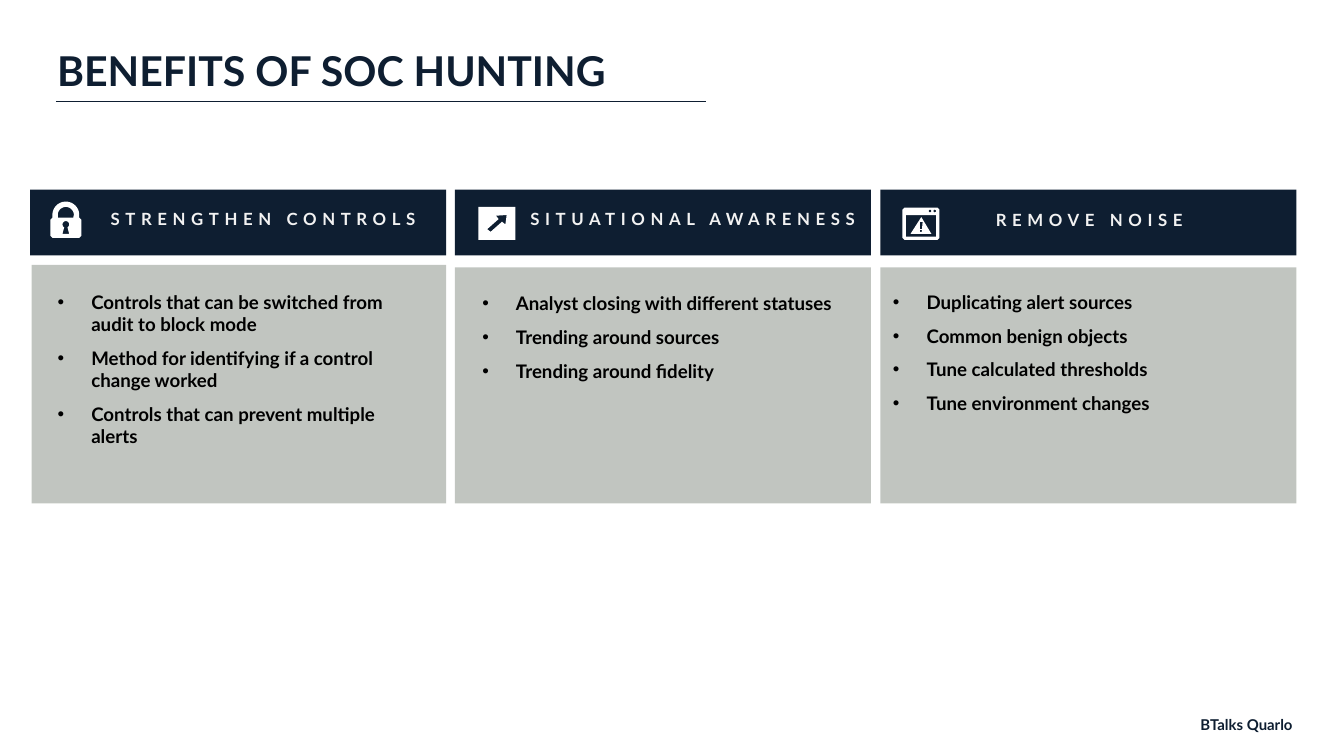
from math import cos, radians, sin

from lxml.etree import SubElement
from pptx import Presentation
from pptx.dml.color import RGBColor
from pptx.enum.shapes import MSO_CONNECTOR, MSO_SHAPE
from pptx.enum.text import MSO_ANCHOR, MSO_AUTO_SIZE, PP_ALIGN
from pptx.oxml.ns import qn
from pptx.util import Inches, Pt

NAVY = RGBColor(0x0E, 0x1E, 0x31)
SAGE = RGBColor(0x4F, 0x5B, 0x4B)
PALE = RGBColor(0xF2, 0xF2, 0xF2)
WHITE = RGBColor(0xFF, 0xFF, 0xFF)
BLACK = RGBColor(0, 0, 0)


def write(para, text, size, color):
    span = para.add_run()
    span.text = text
    span.font.name = "Lato"
    span.font.size = Pt(size)
    span.font.bold = True
    span.font.color.rgb = color
    return span


def arc(x, y, radius, start=0, end=360):
    """Points along a circle, in degrees clockwise from the right."""
    angles = [radians(start + (end - start) * i / 24) for i in range(25)]
    return [(x + radius * cos(a), y + radius * sin(a)) for a in angles]


# Each icon is a list of contours; inner contours are cut out.
LOCK = [
    [(0.75, 3.27), (0.78, 3.24), *arc(0.98, 3.2, 0.2, 180, 360), (1.18, 3.24),
     (1.21, 3.27), (1.21, 3.51), (1.18, 3.54), (0.78, 3.54), (0.75, 3.51)],
    [(0.86, 3.24), *arc(0.98, 3.2, 0.12, 180, 360), (1.09, 3.24)],
    [(0.93, 3.48), *arc(0.98, 3.34, 0.05, 120, 420), (1.03, 3.48)],
]
ARROW = [
    [(7.12, 3.08), (7.67, 3.08), (7.67, 3.57), (7.12, 3.57)],
    [(7.54, 3.2), (7.52, 3.34), (7.47, 3.3), (7.3, 3.45), (7.25, 3.41),
     (7.42, 3.26), (7.38, 3.21)],
]
ALERT = [
    [(13.43, 3.12), (13.46, 3.09), (13.95, 3.09), (13.98, 3.12),
     (13.98, 3.54), (13.95, 3.57), (13.46, 3.57), (13.43, 3.54)],
    arc(13.84, 3.14, 0.02),
    arc(13.91, 3.14, 0.02),
    [(13.48, 3.2), (13.93, 3.2), (13.93, 3.52), (13.48, 3.52)],
    [(13.71, 3.23), (13.86, 3.48), (13.55, 3.48)],
    [(13.69, 3.3), (13.73, 3.3), (13.72, 3.41), (13.69, 3.41)],
    [(13.69, 3.42), (13.72, 3.42), (13.72, 3.45), (13.69, 3.45)],
]

# Heading, its box, icon, panel left/top/width, bullet box, bullets
COLUMNS = [
    ("STRENGTHEN CONTROLS", 0.45, (1.49, 3.05, 4.85), LOCK,
     (0.47, 3.94, 6.17), (0.76, 4.28, 5.61, 2.46),
     ["Controls that can be switched from audit to block mode",
      "Method for identifying if a control change worked",
      "Controls that can prevent multiple alerts"]),
    ("SITUATIONAL AWARENESS", 6.77, (7.39, 3.05, 5.84), ARROW,
     (6.77, 3.98, 6.19), (7.08, 4.3, 5.53, 1.45),
     ["Analyst closing with different statuses",
      "Trending around sources",
      "Trending around fidelity"]),
    ("REMOVE NOISE", 13.1, (14.47, 3.07, 3.48), ALERT,
     (13.1, 3.98, 6.19), (13.19, 4.28, 4.91, 1.95),
     ["Duplicating alert sources",
      "Common benign objects",
      "Tune calculated thresholds",
      "Tune environment changes"]),
]
PANEL_BOTTOM = 7.49

deck = Presentation()
deck.slide_width = Inches(20)
deck.slide_height = Inches(11.25)
page = deck.slides.add_slide(deck.slide_layouts[5])
shapes = page.shapes

title = shapes.title
title.left, title.top = Inches(0.75), Inches(0.63)
title.width, title.height = Inches(18.25), Inches(0.84)
title.text_frame.auto_size = MSO_AUTO_SIZE.NONE
title.text_frame.vertical_anchor = MSO_ANCHOR.TOP
para = title.text_frame.paragraphs[0]
para.alignment = PP_ALIGN.LEFT
write(para, "BENEFITS OF SOC HUNTING", 44, NAVY)

rule = shapes.add_connector(MSO_CONNECTOR.STRAIGHT, Inches(0.83), Inches(1.51),
                            Inches(10.5), Inches(1.51))
rule.line.color.rgb = NAVY
rule.line.width = Pt(0.75)
SubElement(rule._element.spPr, qn("a:effectLst"))

for heading, left, heading_at, icon, panel_at, list_at, bullets in COLUMNS:
    x, y, width = panel_at
    bars = [(left, 2.82, 6.19, 0.98, NAVY),
            (x, y, width, PANEL_BOTTOM - y, SAGE)]
    for *place, color in bars:
        bar = shapes.add_shape(MSO_SHAPE.RECTANGLE, *map(Inches, place))
        bar.shadow.inherit = False
        bar.fill.solid()
        bar.fill.fore_color.rgb = color
        bar.line.fill.background()
        if color == SAGE:
            tint = bar._element.spPr.find(".//" + qn("a:srgbClr"))
            SubElement(tint, qn("a:alpha"), val="35000")

    box = shapes.add_textbox(*map(Inches, heading_at), Inches(0.4))
    box.text_frame.word_wrap = False
    para = box.text_frame.paragraphs[0]
    para.alignment = PP_ALIGN.CENTER
    span = write(para, heading, 18, PALE)
    span.font._element.set("spc", "600")

    # Contours are drawn in thousandths of an inch.
    contours = [[(px * 1000, py * 1000) for px, py in c] for c in icon]
    builder = shapes.build_freeform(*contours[0][0], scale=Inches(1) / 1000)
    builder.add_line_segments(contours[0][1:])
    for contour in contours[1:]:
        builder.move_to(*contour[0])
        builder.add_line_segments(contour[1:])
    symbol = builder.convert_to_shape()
    symbol.shadow.inherit = False
    symbol.fill.solid()
    symbol.fill.fore_color.rgb = WHITE
    symbol.line.fill.background()

    box = shapes.add_textbox(*map(Inches, list_at))
    frame = box.text_frame
    frame.word_wrap = True
    for i, bullet in enumerate(bullets):
        para = frame.add_paragraph() if i else frame.paragraphs[0]
        para.space_before = Pt(12)
        props = para._p.get_or_add_pPr()
        props.set("marL", str(Inches(0.5)))
        props.set("indent", str(Inches(-0.5)))
        SubElement(props, qn("a:buFont"), typeface="Arial")
        SubElement(props, qn("a:buChar"), char="•")
        write(para, bullet, 20, BLACK)

footer = shapes.add_textbox(Inches(17.1), Inches(10.6), Inches(2.9), Inches(0.37))
footer.text_frame.word_wrap = True
para = footer.text_frame.paragraphs[0]
para.alignment = PP_ALIGN.CENTER
write(para, "BTalks Quarlo", 16, NAVY)

deck.save("out.pptx")
